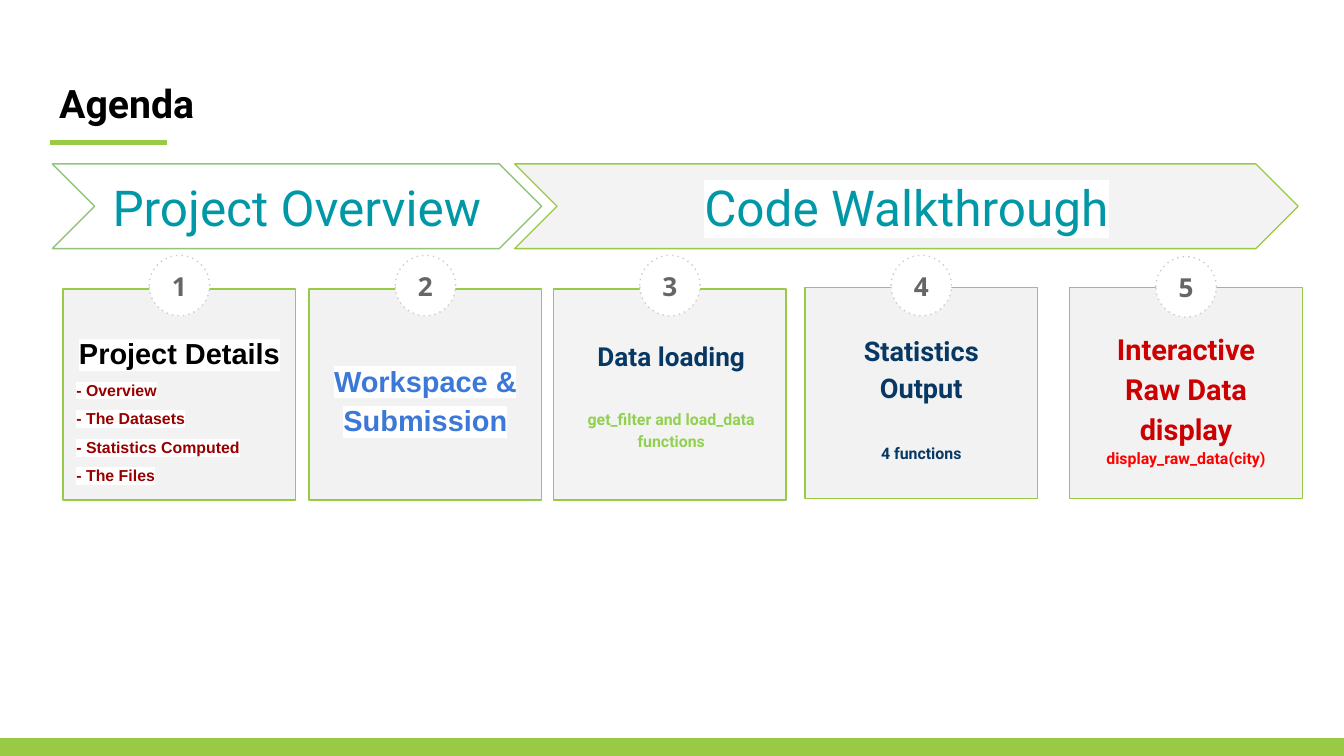
from lxml import etree
from pptx import Presentation
from pptx.dml.color import RGBColor
from pptx.enum import dml, shapes, text
from pptx.oxml.ns import qn
from pptx.util import Inches, Pt

COLORS = {
    "green": "99CA45", "soft_green": "93C47D", "lime": "92D050",
    "white": "FFFFFF", "card": "F2F2F2", "panel": "F3F3F3",
    "dots": "CCCCCC", "number": "666666", "black": "000000",
    "maroon": "980000", "blue": "3C78D8", "navy": "073763",
    "teal": "0097A7", "dark_red": "CC0000", "red": "FF0000",
}
CARD_WIDTH, CARD_HEIGHT, BADGE_SIZE = 1.73, 1.57, 0.45
LEFT, CENTER = text.PP_ALIGN.LEFT, text.PP_ALIGN.CENTER


def color(name):
    return RGBColor.from_string(COLORS[name])


def format_frame(frame, anchor=text.MSO_ANCHOR.MIDDLE):
    frame.word_wrap = True
    frame.auto_size = text.MSO_AUTO_SIZE.NONE
    frame.vertical_anchor = anchor
    frame.margin_left = frame.margin_right = Inches(0.1)
    frame.margin_top = frame.margin_bottom = Inches(0.1)


def write(para, words, size, font, ink, bold=True, align=CENTER,
          spacing=1.0, before=0, highlight=False):
    para.text = words
    para.alignment = align
    para.line_spacing = spacing
    para.space_before = Pt(before)
    for span in para.runs:
        span.font.size, span.font.name, span.font.bold = Pt(size), font, bold
        span.font.color.rgb = color(ink)
        if highlight:
            mark = etree.Element(qn("a:highlight"))
            etree.SubElement(mark, qn("a:srgbClr"), val=COLORS["white"])
            span.font._element.find(qn("a:solidFill")).addnext(mark)


def add_block(page, kind, left, top, width, height, fill, line):
    block = page.shapes.add_shape(kind, Inches(left), Inches(top),
                                  Inches(width), Inches(height))
    block.shadow.inherit = False
    block.fill.solid()
    block.fill.fore_color.rgb = color(fill)
    block.line.color.rgb = color(line)
    block.line.width = Pt(0.75)
    return block


def add_title(page):
    title = page.shapes.title
    title.left, title.top = Inches(0.34), Inches(0.49)
    title.width, title.height = Inches(9.32), Inches(0.63)
    format_frame(title.text_frame, text.MSO_ANCHOR.TOP)
    write(title.text_frame.paragraphs[0], "Agenda", 21, "Roboto", "black",
          align=LEFT)
    rule = page.shapes.add_connector(shapes.MSO_CONNECTOR.STRAIGHT, Inches(0.37),
                                     Inches(1.06), Inches(1.24), Inches(1.06))
    rule.line.color.rgb = color("green")
    rule.line.width = Pt(3)
    etree.SubElement(rule._element.spPr, qn("a:effectLst"))


def add_phase(page, words, left, width, fill, line):
    phase = add_block(page, shapes.MSO_SHAPE.CHEVRON, left, 1.22, width, 0.63,
                      fill, line)
    format_frame(phase.text_frame)
    write(phase.text_frame.paragraphs[0], words, 26.5, "Roboto", "teal",
          bold=False, highlight=True)


def add_card(page, number, left, top, badge_top, fill):
    add_block(page, shapes.MSO_SHAPE.RECTANGLE, left, top, CARD_WIDTH,
              CARD_HEIGHT, fill, "green")
    badge_left = left + (CARD_WIDTH - BADGE_SIZE) / 2
    badge = add_block(page, shapes.MSO_SHAPE.OVAL, badge_left, badge_top,
                      BADGE_SIZE, BADGE_SIZE, "white", "dots")
    badge.line.dash_style = dml.MSO_LINE.ROUND_DOT
    for dash in badge._element.spPr.iter(qn("a:prstDash")):
        dash.set("val", "dot")  # wider gaps than the round dot
    format_frame(badge.text_frame)
    write(badge.text_frame.paragraphs[0], str(number), 14, "Open Sans", "number")


def add_card_text(page, left, top, width, height, lines, **shared):
    box = page.shapes.add_textbox(Inches(left), Inches(top), Inches(width),
                                  Inches(height))
    frame = box.text_frame
    format_frame(frame)
    for index, (words, size, ink, options) in enumerate(lines):
        para = frame.add_paragraph() if index else frame.paragraphs[0]
        write(para, words, size, ink=ink, **shared, **options)


def main():
    deck = Presentation()
    deck.slide_width = Inches(10)
    deck.slide_height = deck.slide_width * 9 // 16
    page = deck.slides.add_slide(deck.slide_layouts[5])
    add_title(page)

    # Phases
    add_phase(page, "Project Overview", 0.39, 3.64, "white", "soft_green")
    add_phase(page, "Code Walkthrough", 3.83, 5.83, "panel", "green")

    # Numbered cards: left, top, badge top, fill
    cards = [
        (0.47, 2.15, 1.9, "card"),
        (2.3, 2.15, 1.9, "card"),
        (4.12, 2.15, 1.9, "panel"),
        (5.99, 2.14, 1.9, "card"),
        (7.96, 2.14, 1.91, "card"),
    ]
    for number, card in enumerate(cards, 1):
        add_card(page, number, *card)

    # Overview card texts
    topics = ["Overview", "The Datasets", "Statistics Computed", "The Files"]
    details = [("Project Details", 15.5, "black", {})]
    details += [(f"- {topic}", 8.5, "maroon", {"align": LEFT})
                for topic in topics]
    add_card_text(page, 0.47, 2.26, CARD_WIDTH, 1.46, details,
                  font="Arial", spacing=1.5, highlight=True)
    add_card_text(page, 2.3, 2.35, CARD_WIDTH, 1.22,
                  [("Workspace & Submission", 15.5, "blue", {})],
                  font="Arial", spacing=1.15, highlight=True)

    # Code card texts
    code_texts = [
        (4.23, 2.47, [
            ("Data loading", 14, "navy", {}),
            ("get_filter and load_data functions", 8.5, "lime", {"before": 19})]),
        (6.09, 2.49, [
            ("Statistics Output", 14.5, "navy", {}),
            ("4 functions", 8.5, "navy", {"before": 19.5})]),
        (8.06, 2.5, [
            ("Interactive Raw Data display", 15.5, "dark_red", {}),
            ("display_raw_data(city)", 8.5, "red", {})]),
    ]
    for left, top, lines in code_texts:
        add_card_text(page, left, top, 1.53, 0.91, lines,
                      font="Roboto", spacing=1.15)

    # Footer band
    add_block(page, shapes.MSO_SHAPE.RECTANGLE, 0, 5.5, 10, 0.12,
              "green", "green")
    deck.save("out.pptx")


if __name__ == "__main__":
    main()
